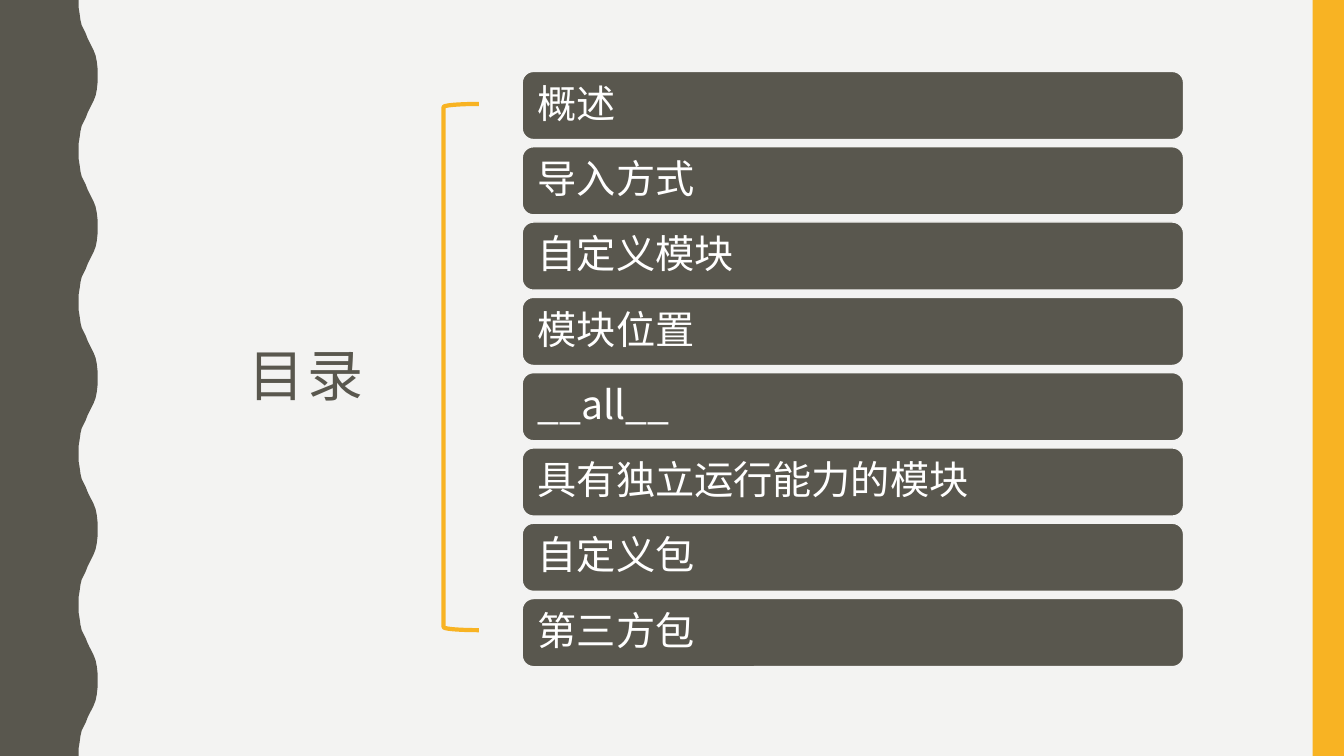
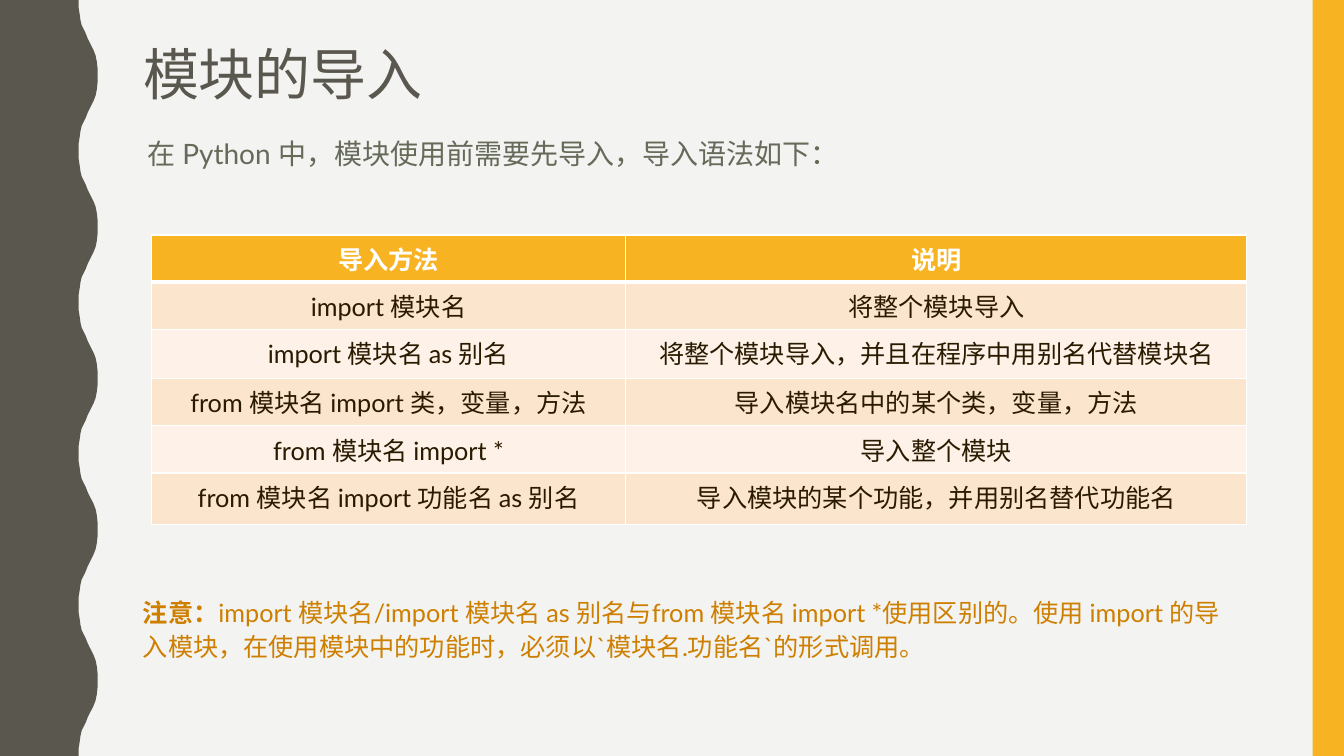
"""Two slides on Python modules: a contents list and a table of import forms."""
import lxml.etree
import pptx
import pptx.dml.color
import pptx.enum.shapes
import pptx.enum.text
import pptx.oxml.ns
import pptx.util

Cm, Pt = pptx.util.Cm, pptx.util.Pt
RGBColor = pptx.dml.color.RGBColor
SHAPE = pptx.enum.shapes.MSO_SHAPE
ALIGN = pptx.enum.text.PP_ALIGN
ANCHOR = pptx.enum.text.MSO_ANCHOR
AUTO = pptx.enum.text.MSO_AUTO_SIZE
qn = pptx.oxml.ns.qn

PAPER = RGBColor(0xF3, 0xF3, 0xF2)
OLIVE = RGBColor(0x59, 0x57, 0x4E)
AMBER = RGBColor(0xF8, 0xB3, 0x23)
WHITE = RGBColor(0xFF, 0xFF, 0xFF)
SAGE = RGBColor(0x65, 0x6A, 0x59)
OCHRE = RGBColor(0xCE, 0x7F, 0x00)
BROWN = RGBColor(0x2A, 0x1A, 0x00)
PEACH = RGBColor(0xFC, 0xE5, 0xCD)
CREAM = RGBColor(0xFE, 0xF2, 0xE8)

CJK, LATIN = "Noto Sans CJK SC", "Lato"
WIDTH, HEIGHT = 33.87, 19.05
WAVE_LEFT, WAVES = 1.98, 5
HALF_WAVE = [(0, 0), (0, .18), (.03, .36), (.05, .51), (.08, .64), (.13, .74),
             (.18, .84), (.23, .97), (.28, 1.07), (.33, 1.17), (.38, 1.27),
             (.43, 1.4), (.46, 1.55), (.48, 1.73), (.48, 1.9)]

TOPICS = ["概述", "导入方式", "自定义模块", "模块位置", "__all__",
          "具有独立运行能力的模块", "自定义包", "第三方包"]
IMPORTS = [
    ("导入方法", "说明"),
    ("import 模块名", "将整个模块导入"),
    ("import 模块名 as 别名", "将整个模块导入，并且在程序中用别名代替模块名"),
    ("from 模块名 import 类，变量，方法", "导入模块名中的某个类，变量，方法"),
    ("from 模块名 import *", "导入整个模块"),
    ("from 模块名 import 功能名 as 别名", "导入模块的某个功能，并用别名替代功能名"),
]
COL_WIDTHS = [11.96, 15.65]
ROW_HEIGHTS = [1.19, 1.19, 1.24, 1.19, 1.19, 1.3]


def emu(box):
    """Turn a box in centimetres into lengths."""
    return [Cm(v) for v in box]


def add_run(p, text, size, color, font=LATIN, bold=False, spacing=0):
    """Add one formatted run to a paragraph."""
    r = p.add_run()
    r.text = text
    r.font.size, r.font.name, r.font.bold = Pt(size), font, bold
    r.font.color.rgb = color
    rPr = r._r.get_or_add_rPr()
    lxml.etree.SubElement(rPr, qn("a:ea"), typeface=CJK)
    if spacing:
        rPr.set("spc", str(spacing * 100))


def paint(sp, fill=None, line=None, width=1):
    """Give a shape its fill and line, without a shadow."""
    sp.shadow.inherit = False
    if fill is None:
        sp.fill.background()
    else:
        sp.fill.solid()
        sp.fill.fore_color.rgb = fill
    if line is None:
        sp.line.fill.background()
    else:
        sp.line.color.rgb = line
        sp.line.width = Pt(width)


def add_backdrop(prs, s):
    """Draw the wavy band and the side bar, and move them to the master."""
    master = prs.slide_master
    master.background.fill.solid()
    master.background.fill.fore_color.rgb = PAPER
    period = HEIGHT / WAVES
    wave = HALF_WAVE + [(x, period - y) for x, y in reversed(HALF_WAVE)]
    edge = [(Cm(WAVE_LEFT + x), Cm(i * period + y))
            for i in range(WAVES) for x, y in wave]
    outline = s.shapes.build_freeform(0, 0)
    outline.add_line_segments(edge + [(0, Cm(HEIGHT))], close=True)
    band = outline.convert_to_shape()
    bar_width = 0.79
    bar = s.shapes.add_shape(
        SHAPE.RECTANGLE, *emu((WIDTH - bar_width, 0, bar_width, HEIGHT)))
    for number, (sp, color) in enumerate([(band, OLIVE), (bar, AMBER)]):
        paint(sp, color)
        sp.element.xpath(".//p:cNvPr")[0].set("id", str(100 + number))
        master.shapes.element.insert(2 + number, sp.element)


def add_title(s, text, box, align=ALIGN.LEFT, anchor=ANCHOR.TOP, spacing=0):
    """Place and format the title placeholder."""
    sp = s.shapes.title
    sp.left, sp.top, sp.width, sp.height = emu(box)
    tf = sp.text_frame
    tf.auto_size, tf.vertical_anchor = AUTO.NONE, anchor
    p = tf.paragraphs[0]
    p.alignment, p.line_spacing = align, 0.9
    add_run(p, text, 40, OLIVE, CJK, spacing=spacing)


def add_text(s, box, runs, size, color, before=0):
    """Add a wrapped text box with one paragraph of (text, bold) runs."""
    tf = s.shapes.add_textbox(*emu(box)).text_frame
    tf.word_wrap = True
    p = tf.paragraphs[0]
    p.line_spacing, p.space_before = 1.1, Pt(before)
    for text, bold in runs:
        add_run(p, text, size, color, bold=bold)


def add_topics(s, box, topics, gap=0.18):
    """Stack one rounded bar per topic in the box."""
    left, top, width, height = box
    bar_height = (height - gap * (len(topics) - 1)) / len(topics)
    for i, topic in enumerate(topics):
        y = top + i * (bar_height + gap)
        sp = s.shapes.add_shape(SHAPE.ROUNDED_RECTANGLE,
                                *emu((left, y, width, bar_height)))
        paint(sp, OLIVE, PAPER)
        tf = sp.text_frame
        tf.word_wrap, tf.vertical_anchor = True, ANCHOR.MIDDLE
        tf.margin_left = tf.margin_right = Cm(0.31)
        tf.margin_top = tf.margin_bottom = Cm(0.31)
        p = tf.paragraphs[0]
        p.alignment, p.line_spacing = ALIGN.LEFT, 0.9
        add_run(p, topic, 28, WHITE, CJK)


def set_borders(cell, top, bottom):
    """Draw white cell borders, one point wide at the sides."""
    tcPr = cell._tc.get_or_add_tcPr()
    for side, width in (("L", 1), ("R", 1), ("T", top), ("B", bottom)):
        ln = lxml.etree.SubElement(tcPr, qn("a:ln" + side), w=str(Pt(width)))
        fill = lxml.etree.SubElement(ln, qn("a:solidFill"))
        lxml.etree.SubElement(fill, qn("a:srgbClr"), val=str(WHITE))


def add_import_table(s, left, top):
    """Add the table of import forms with its header and banded rows."""
    box = (left, top, sum(COL_WIDTHS), sum(ROW_HEIGHTS))
    table = s.shapes.add_table(len(IMPORTS), len(COL_WIDTHS), *emu(box)).table
    for col, width in zip(table.columns, COL_WIDTHS):
        col.width = Cm(width)
    for i, (row, height) in enumerate(zip(table.rows, ROW_HEIGHTS)):
        row.height = Cm(height)
        header = i == 0
        band = AMBER if header else PEACH if i % 2 else CREAM
        for cell, text in zip(row.cells, IMPORTS[i]):
            set_borders(cell, 3 if i == 1 else 1, 3 if header else 1)
            cell.fill.solid()
            cell.fill.fore_color.rgb = band
            p = cell.text_frame.paragraphs[0]
            p.alignment = ALIGN.CENTER
            add_run(p, text, 18, WHITE if header else BROWN, bold=header)


def build_contents(s):
    """Fill the contents slide."""
    add_title(s, "目录", (4.29, 2.01, 6.86, 15.06),
              ALIGN.CENTER, ANCHOR.MIDDLE, spacing=2)
    add_topics(s, (13.16, 1.8, 16.67, 15), TOPICS)
    bracket = s.shapes.add_shape(SHAPE.LEFT_BRACKET,
                                 *emu((11.18, 2.62, 0.89, 13.26)))
    paint(bracket, line=AMBER, width=3)


def build_imports(s):
    """Fill the slide on importing modules."""
    add_title(s, "模块的导入", (3.35, 1.07, 30.25, 4.52))
    add_text(s, (3.48, 3.23, 28.27, 1.5),
             [("在 Python 中，模块使用前需要先导入，导入语法如下：", False)],
             20, SAGE, before=7)
    note = ("import 模块名/import 模块名 as 别名与from 模块名 import *使用区别的。"
            "使用 import 的导入模块，在使用模块中的功能时，"
            "必须以`模块名.功能名`的形式调用。")
    add_text(s, (3.35, 14.86, 28.27, 2.72),
             [("注意：", True), (note, False)], 18, OCHRE)
    add_import_table(s, 3.81, 5.92)


def main():
    """Build and save the presentation."""
    prs = pptx.Presentation()
    prs.slide_width, prs.slide_height = Cm(WIDTH), Cm(HEIGHT)
    title_only = prs.slide_layouts[5]
    contents = prs.slides.add_slide(title_only)
    add_backdrop(prs, contents)
    build_contents(contents)
    build_imports(prs.slides.add_slide(title_only))
    prs.save("out.pptx")


main()
